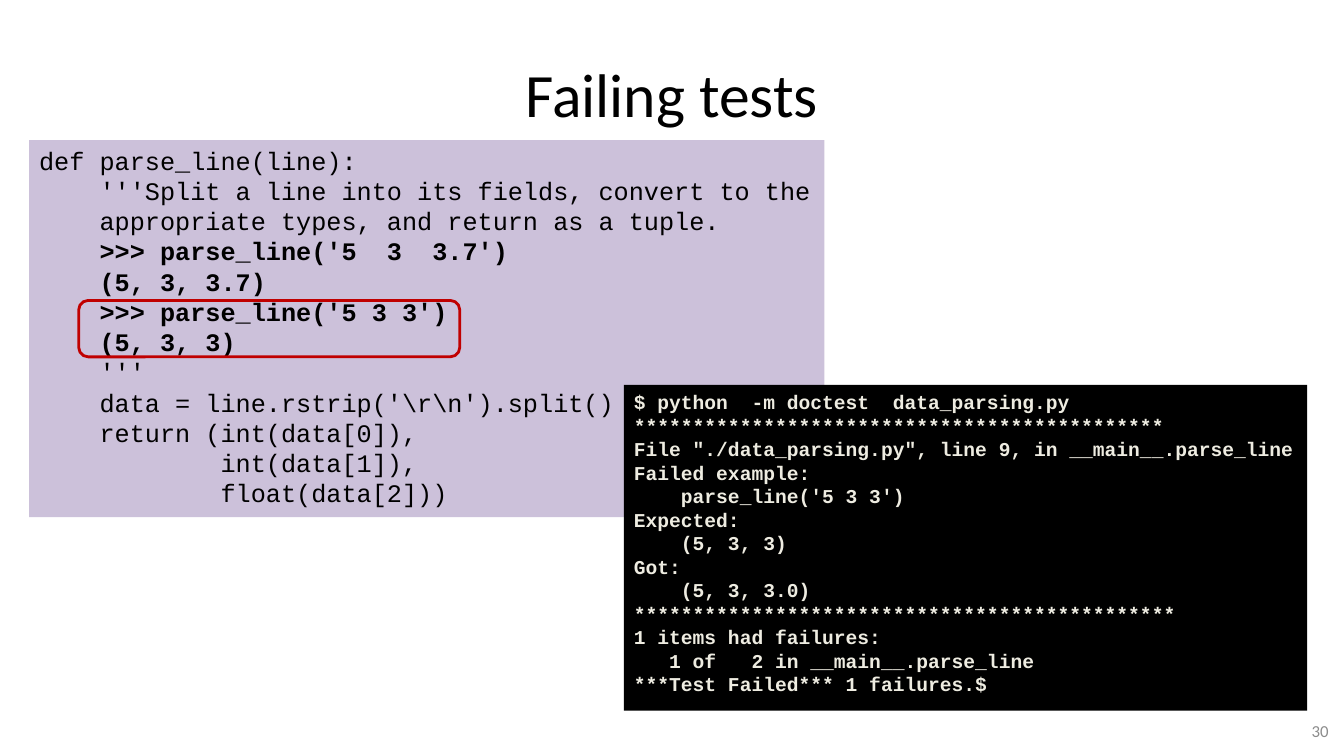
from pptx import Presentation
from pptx.dml.color import RGBColor
from pptx.enum.shapes import MSO_SHAPE
from pptx.enum.text import MSO_ANCHOR, MSO_AUTO_SIZE, PP_ALIGN
from pptx.util import Pt

RECT, ROUND = MSO_SHAPE.RECTANGLE, MSO_SHAPE.ROUNDED_RECTANGLE
TOP, MIDDLE = MSO_ANCHOR.TOP, MSO_ANCHOR.MIDDLE
LEFT, CENTER, RIGHT = PP_ALIGN.LEFT, PP_ALIGN.CENTER, PP_ALIGN.RIGHT
GROW = MSO_AUTO_SIZE.SHAPE_TO_FIT_TEXT

BLACK = RGBColor(0x00, 0x00, 0x00)
LILAC = RGBColor(0xCC, 0xC1, 0xDA)
CREAM = RGBColor(0xEE, 0xEC, 0xE1)
RED = RGBColor(0xC0, 0x00, 0x00)
GRAY = RGBColor(0x8C, 0x8C, 0x8C)

CODE = r"""def parse_line(line):
    '''Split a line into its fields, convert to the
    appropriate types, and return as a tuple.
    >>> parse_line('5  3  3.7')
    (5, 3, 3.7)
    >>> parse_line('5 3 3')
    (5, 3, 3)
    '''
    data = line.rstrip('\r\n').split()
    return (int(data[0]),
            int(data[1]),
            float(data[2]))"""
TESTS = range(3, 7)  # lines of CODE that hold the doctests

OUTPUT = """$ python  -m doctest  data_parsing.py
*********************************************
File "./data_parsing.py", line 9, in __main__.parse_line
Failed example:
    parse_line('5 3 3')
Expected:
    (5, 3, 3)
Got:
    (5, 3, 3.0)
**********************************************
1 items had failures:
   1 of   2 in __main__.parse_line
***Test Failed*** 1 failures.$"""


def write(frame, text, size, color=BLACK, font="Calibri", bold=(),
          align=LEFT, anchor=TOP, wrap=True):
    """Fill a frame line by line; bold holds the indices of bold lines."""
    frame.word_wrap = wrap
    frame.vertical_anchor = anchor
    for i, line in enumerate(text.split("\n")):
        para = frame.add_paragraph() if i else frame.paragraphs[0]
        para.alignment = align
        run = para.add_run()
        run.text = line
        run.font.name = font
        run.font.size = Pt(size)
        run.font.bold = i in bold
        run.font.color.rgb = color


class Page:
    def __init__(self, deck):
        self.slide = deck.slides.add_slide(deck.slide_layouts[6])
        self.mono = "Courier New"

    def label(self, box, text, size, **style):
        shape = self.slide.shapes.add_textbox(*map(Pt, box))
        write(shape.text_frame, text, size, anchor=MIDDLE, **style)

    def shape(self, kind, box):
        shape = self.slide.shapes.add_shape(kind, *map(Pt, box))
        shape.shadow.inherit = False
        return shape

    def panel(self, box, fill, text, size, **style):
        shape = self.shape(RECT, box)
        shape.fill.solid()
        shape.fill.fore_color.rgb = fill
        shape.line.fill.background()
        write(shape.text_frame, text, size, font=self.mono, wrap=False, **style)
        shape.text_frame.auto_size = GROW

    def frame(self, box, color, width):
        shape = self.shape(ROUND, box)
        shape.fill.background()
        shape.line.color.rgb = color
        shape.line.width = Pt(width)


def main():
    deck = Presentation()
    deck.slide_width, deck.slide_height = Pt(960), Pt(540)
    page = Page(deck)

    # Title
    page.label((48, 21.6, 864, 90), "Failing tests", 44, align=CENTER)

    # Function with its doctests
    page.panel((20.9, 100.1, 568, 269.3), LILAC, CODE, 18, bold=TESTS)

    # Terminal output
    page.panel((445.7, 275, 488, 232.6), BLACK, OUTPUT, 14, color=CREAM,
               bold=range(len(OUTPUT.split("\n"))))

    # Outline around the failing test
    page.frame((56.2, 214.6, 272.2, 40.3), RED, 2)

    # Page number
    page.label((732.2, 507.6, 224, 28.8), "30", 12, color=GRAY, align=RIGHT)

    deck.save("out.pptx")


if __name__ == "__main__":
    main()
